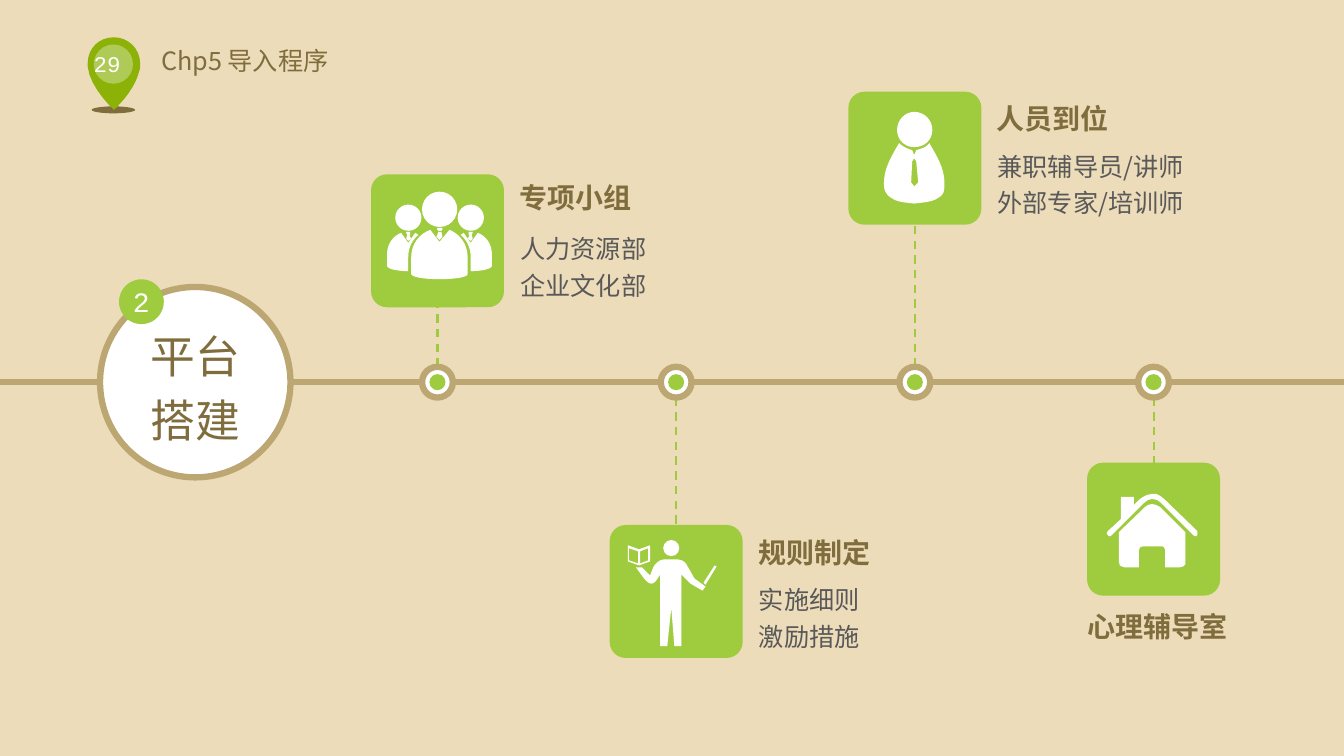
from dataclasses import dataclass

from lxml import etree
from pptx import Presentation
from pptx import util as u
from pptx.dml.color import RGBColor
from pptx.enum import dml, shapes, text
from pptx.oxml.ns import qn


@dataclass(frozen=True)
class Theme:
    """Colours, fonts and sizes of the slide."""
    sand: str = "EDDCB9"
    tan: str = "BCA772"
    brown: str = "806D3E"
    grey: str = "595959"
    green: str = "9FCC3E"
    pin: str = "8CB208"
    white: str = "FFFFFF"
    cjk: str = "Noto Sans CJK SC"
    mono: str = "Courier New"
    number: int = 16
    body: int = 18
    title: int = 20
    hub: int = 32
    thick: float = 4.5
    thin: float = 1.5
    cell: float = 0.72


class Deck:
    """Draws styled elements on the current slide."""

    def __init__(self, prs, theme):
        self.t = theme
        self.slide = prs.slides.add_slide(prs.slide_layouts[6])
        fill = self.slide.background.fill
        fill.solid()
        fill.fore_color.rgb = RGBColor.from_string(theme.sand)
        self.ungroup()

    def group(self):
        """Send the next elements to a new group."""
        self.target = self.slide.shapes.add_group_shape().shapes

    def ungroup(self):
        """Send the next elements to the slide itself."""
        self.target = self.slide.shapes

    def paint(self, sp, fill, line=None):
        """Give a shape its fill and optional outline."""
        sp.shadow.inherit = False
        sp.fill.solid()
        sp.fill.fore_color.rgb = RGBColor.from_string(fill)
        if line:
            sp.line.color.rgb = RGBColor.from_string(line)
            sp.line.width = u.Pt(self.t.thick)
        else:
            sp.line.fill.background()
        return sp

    def oval(self, cx, cy, w, h, fill, line=None, alpha=None):
        """Draw an ellipse around a centre."""
        sp = self.target.add_shape(shapes.MSO_SHAPE.OVAL, u.Pt(cx - w / 2),
                                   u.Pt(cy - h / 2), u.Pt(w), u.Pt(h))
        self.paint(sp, fill, line)
        if alpha:
            color = sp._element.spPr.find(qn("a:solidFill")).find(qn("a:srgbClr"))
            etree.SubElement(color, qn("a:alpha")).set("val", str(alpha * 1000))
        return sp

    def disc(self, cx, cy, d, fill, line=None):
        """Draw a circle around a centre."""
        return self.oval(cx, cy, d, d, fill, line)

    def tile(self, x, y, size):
        """Draw a green rounded square."""
        sp = self.target.add_shape(shapes.MSO_SHAPE.ROUNDED_RECTANGLE, u.Pt(x),
                                   u.Pt(y), u.Pt(size), u.Pt(size))
        sp.adjustments[0] = 0.12
        return self.paint(sp, self.t.green)

    def line(self, x1, y1, x2, y2, color, width, dash=False):
        """Draw a straight connector."""
        cn = self.target.add_connector(shapes.MSO_CONNECTOR.STRAIGHT, u.Pt(x1),
                                       u.Pt(y1), u.Pt(x2), u.Pt(y2))
        cn.line.color.rgb = RGBColor.from_string(color)
        cn.line.width = u.Pt(width)
        if dash:
            cn.line.dash_style = dml.MSO_LINE.DASH
        etree.SubElement(cn._element.spPr, qn("a:effectLst"))
        return cn

    def put_text(self, sp, words, size, color, font=None, bold=False, center=False, spacing=1.0):
        """Set and format the text of a shape."""
        tf = sp.text_frame
        tf.word_wrap = True
        tf.text = words
        for p in tf.paragraphs:
            p.alignment = text.PP_ALIGN.CENTER if center else text.PP_ALIGN.LEFT
            p.line_spacing = spacing
            for r in p.runs:
                r.font.size = u.Pt(size)
                r.font.bold = bold
                r.font.color.rgb = RGBColor.from_string(color)
                r.font.name = font or self.t.cjk
                etree.SubElement(r.font._element, qn("a:ea")).set("typeface", r.font.name)

    def inside(self, sp, words, size, color, **style):
        """Centre text inside a shape without margins."""
        tf = sp.text_frame
        tf.margin_left = tf.margin_right = tf.margin_top = tf.margin_bottom = 0
        tf.vertical_anchor = text.MSO_ANCHOR.MIDDLE
        self.put_text(sp, words, size, color, center=True, **style)

    def label(self, x, y, w, h, words, size, color, **style):
        """Place a text box."""
        sp = self.target.add_textbox(u.Pt(x), u.Pt(y), u.Pt(w), u.Pt(h))
        self.put_text(sp, words, size, color, **style)

    def outline(self, fill, *contours, mirror=None):
        """Draw contours of points and cubic curves given in grid cells."""
        fb = None
        for contour in contours:
            dots = []
            for step in contour:
                dots += curve(dots[-1], step) if len(step) == 6 else [step]
            if mirror:
                dots = [(2 * mirror - x, y) for x, y in dots]
            dots = [(u.Pt(x * self.t.cell), u.Pt(y * self.t.cell)) for x, y in dots]
            if fb:
                fb.move_to(*dots[0])
            else:
                fb = self.target.build_freeform(*dots[0])
            fb.add_line_segments(dots[1:], close=True)
        self.paint(fb.convert_to_shape(), fill)


def curve(start, step, parts=8):
    """Return points along a cubic curve."""
    a, b, c = step[:2], step[2:4], step[4:]
    return [tuple((1 - k) ** 3 * p + 3 * (1 - k) ** 2 * k * q + 3 * (1 - k) * k * k * r + k ** 3 * e
                  for p, q, r, e in zip(start, a, b, c))
            for k in (i / parts for i in range(1, parts + 1))]


PIN = [(139, 63), (139, 48, 127, 37, 113, 37), (98, 37, 87, 48, 87, 63), (87, 66),
       (89, 87, 113, 109, 113, 109), (130, 93, 136, 79, 138, 71), (139, 69, 139, 66, 139, 63)]
LEADER = [
    [(446, 228), (436, 240), (427, 228), (416, 232, 408, 242, 408, 255), (408, 272),
     (409, 275, 421, 277, 436, 277), (451, 277, 464, 275, 464, 272), (464, 255),
     (464, 242, 456, 232, 446, 228)],
    [(439, 226), (434, 226), (434, 226, 433, 228, 435, 229), (438, 229), (438, 229, 439, 228, 439, 226)],
    [(435, 230), (438, 230), (439, 235), (436, 238), (433, 235)]]
MEMBER = [
    [(412, 231), (405, 241), (398, 231), (390, 234, 384, 242, 384, 252), (384, 264),
     (385, 267, 394, 269, 405, 269), (405, 255), (405, 246, 409, 238, 415, 233)],
    [(407, 233), (407, 233, 407, 232, 407, 230), (403, 230), (403, 230, 403, 232, 404, 233)],
    [(405, 239), (408, 237), (406, 233), (404, 233), (403, 237)]]
TUTOR = [
    [(925, 129), (925, 139, 917, 146, 907, 146), (898, 146, 890, 139, 890, 129),
     (890, 119, 898, 111, 907, 111), (917, 111, 925, 119, 925, 129)],
    [(907, 154), (905, 149), (905, 149, 897, 147, 892, 142), (885, 154, 877, 167, 877, 181),
     (877, 185, 877, 188, 879, 191), (881, 195, 884, 196, 887, 198), (893, 201, 900, 201, 907, 202),
     (914, 201, 921, 201, 928, 198), (931, 196, 934, 195, 936, 191), (937, 188, 937, 185, 937, 181),
     (937, 167, 929, 154, 922, 142), (918, 147, 915, 147, 909, 149)],
    [(907, 185), (904, 181), (905, 160), (907, 157), (909, 160), (911, 181)]]
ROOF = [(1188, 527), (1155, 495), (1151, 492), (1147, 490), (1143, 490), (1138, 491), (1134, 493),
        (1131, 495), (1125, 501), (1125, 493), (1112, 493), (1112, 515), (1099, 527), (1098, 529),
        (1099, 531), (1101, 532), (1103, 531), (1135, 499), (1139, 496), (1143, 495), (1148, 496),
        (1152, 499), (1184, 531), (1186, 532), (1188, 531), (1188, 529)]
WALLS = [(1151, 503), (1147, 501), (1143, 500), (1139, 501), (1136, 503), (1110, 528), (1110, 557),
         (1111, 561), (1113, 562), (1116, 563), (1130, 563), (1130, 546), (1131, 543), (1134, 542),
         (1153, 542), (1155, 543), (1156, 546), (1156, 563), (1170, 563), (1174, 562), (1176, 560),
         (1176, 528)]
BOOK = [[(645, 541), (634, 545), (623, 541), (623, 557), (634, 561), (645, 557)],
        [(643, 556), (635, 559), (635, 547), (643, 544)],
        [(624, 544), (633, 547), (633, 559), (624, 556)]]
POINTER = [(711, 562), (709, 561), (698, 578), (700, 580)]
SPEAKER = [(681, 560), (680, 558, 677, 555, 671, 555), (660, 555), (657, 555, 652, 556, 648, 563),
           (645, 571), (637, 563), (631, 563), (639, 574), (639, 574, 643, 579, 646, 579),
           (649, 579, 651, 576, 651, 576), (655, 570), (655, 641), (662, 641), (666, 603),
           (669, 641), (676, 641), (676, 570), (685, 579), (697, 586), (700, 582), (689, 574),
           (689, 574, 684, 565, 681, 560)]

AXIS, FIRST, STEP, SIZE, NODE = 273, 312.5, 170.5, 95, 22
STAGES = [
    (124.5, "专项小组", -6.5, "人力资源部企业文化部", 112),
    (375, "规则制定", -3.5, "实施细则\n激励措施", 140),
    (65.5, "人员到位", -3.5, "兼职辅导员/讲师\n外部专家/培训师", 204),
    (330.5, "心理辅导室", None, None, None)]


def draw_header(d, t):
    """Draw the page pin and the chapter name."""
    d.oval(81, 78.5, 31, 5, t.brown)
    d.outline(t.pin, PIN)
    d.oval(81, 45.8, 28, 28, t.white, alpha=32)
    d.label(51, 32.4, 51, 27, "29", t.number, t.white, font=t.mono, center=True)
    d.label(108, 28.8, 137, 29, "Chp5 导入程序", t.body, t.brown)


def draw_stages(d, t):
    """Draw the axis, the hub and the four stages."""
    d.line(0, AXIS, 960, AXIS, t.tan, t.thick)
    hub = d.disc(139.5, AXIS, 136, t.white, t.tan)
    d.inside(hub, "平台\n搭建", t.hub, t.brown, spacing=1.2)
    d.inside(d.disc(101, 215.5, 32, t.green), "2", t.title, t.white, font=t.mono)
    for i, (top, title, lift, body, width) in enumerate(STAGES):
        x = FIRST + i * STEP
        above = top < AXIS
        tile = d.tile(x - SIZE / 2, top, SIZE)
        edge = AXIS + (-NODE if above else NODE) / 2
        stem = d.line(x, edge, x, top, t.green, t.thin, dash=True)
        stem.end_connect(tile, 2 if above else 0)
        d.group()
        d.disc(x, AXIS, NODE, t.white, t.tan)
        d.disc(x, AXIS, 11.5, t.green)
        d.ungroup()
        if body:
            left = x + SIZE / 2 + 4
            d.label(left, top + lift, 119, 36, title, t.title, t.brown, bold=True, spacing=1.3)
            d.label(left + 0.5, top + 34, width, 60, body, t.body, t.grey, spacing=1.22)
        else:
            d.label(730, top + 98.5, 194, 32, title, t.title, t.brown, bold=True, center=True, spacing=1.12)


def draw_icons(d, t):
    """Draw the white icon of each stage."""
    d.group()
    d.disc(314, 149.5, 25.2, t.white)
    for part in LEADER:
        d.outline(t.white, part)
    for side, mirror in ((-1, None), (1, 436)):
        d.disc(314 + side * 22.3, 155.5, 18.7, t.white)
        for part in MEMBER:
            d.outline(t.white, part, mirror=mirror)
    d.ungroup()
    d.outline(t.white, *TUTOR)
    for icon in ([[ROOF], [WALLS]], [BOOK, [POINTER], [SPEAKER]]):
        d.group()
        for contours in icon:
            d.outline(t.white, *contours)
    d.disc(479.5, 391.5, 11.5, t.white)
    d.ungroup()


def main():
    """Build and save the slide."""
    prs = Presentation()
    prs.slide_width, prs.slide_height = u.Pt(960), u.Pt(540)
    t = Theme()
    d = Deck(prs, t)
    draw_header(d, t)
    draw_stages(d, t)
    draw_icons(d, t)
    prs.save("out.pptx")


if __name__ == "__main__":
    main()
